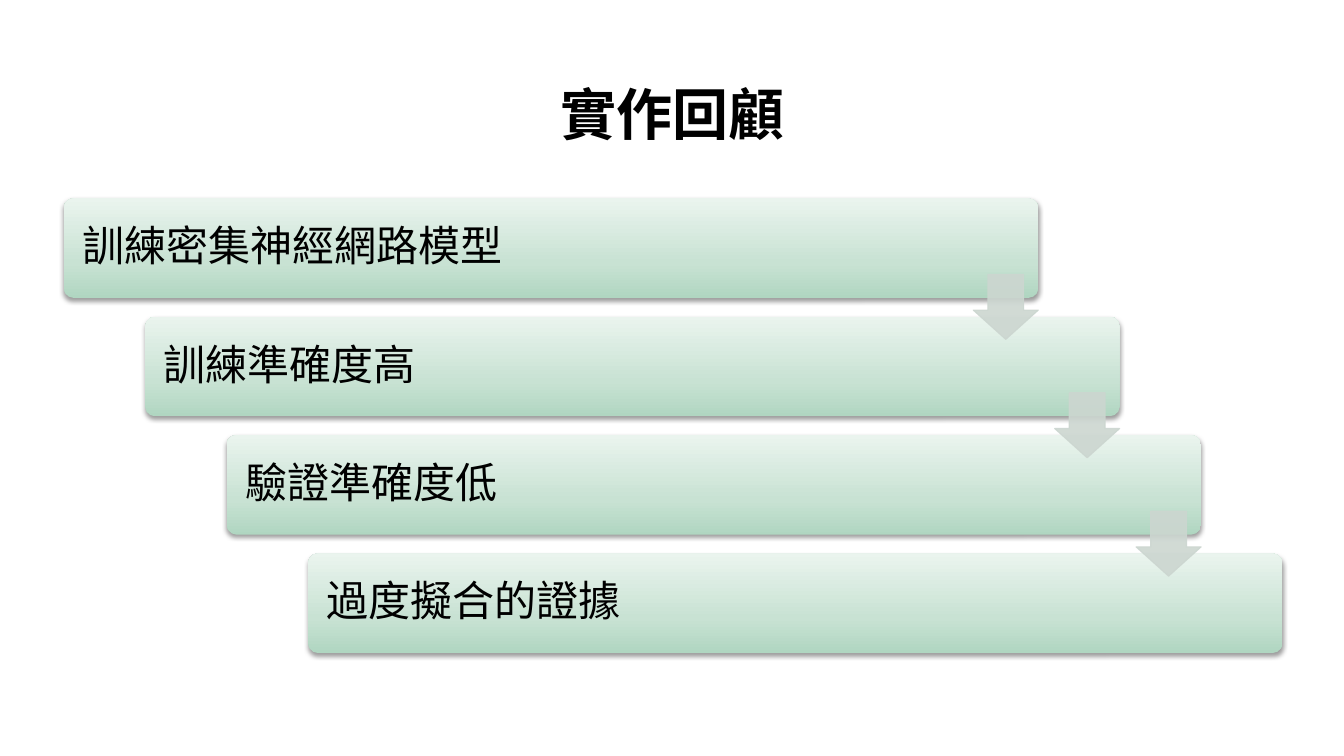
from lxml import etree
from pptx import Presentation
from pptx.dml.color import RGBColor
from pptx.enum.shapes import MSO_SHAPE
from pptx.enum.text import MSO_ANCHOR, PP_ALIGN
from pptx.oxml.ns import qn
from pptx.util import Inches, Pt

BAR, ARROW = MSO_SHAPE.ROUNDED_RECTANGLE, MSO_SHAPE.DOWN_ARROW
MIDDLE, BOTTOM = MSO_ANCHOR.MIDDLE, MSO_ANCHOR.BOTTOM
LEFT, CENTER = PP_ALIGN.LEFT, PP_ALIGN.CENTER

FONT = "Cabin"
COLORS = {
    "text": "000000",
    "shadow": "000000",
    "bar_dark": "B0D6C1",
    "bar_mid": "C8E2D3",
    "bar_light": "EAF4EE",
    "arrow": "CCD6D0",
}
BAR_STOPS = [(0, "bar_dark"), (35, "bar_mid"), (100, "bar_light")]
STEPS = ["訓練密集神經網路模型", "訓練準確度高", "驗證準確度低", "過度擬合的證據"]

FIRST_LEFT, FIRST_TOP = 0.57, 1.77
STEP_RIGHT, STEP_DOWN = 0.727, 1.057
BAR_WIDTH, BAR_HEIGHT = 8.7, 0.89
ARROW_SIZE = 0.58


def add_color(parent, color, alpha=None):
    node = etree.SubElement(parent, qn("a:srgbClr"), val=COLORS[color])
    if alpha is not None:
        etree.SubElement(node, qn("a:alpha"), val=str(alpha * 1000))


def set_text(shape, text, size, align, anchor, bold=False):
    frame = shape.text_frame
    frame.word_wrap = True
    frame.vertical_anchor = anchor
    frame.text = text
    paragraph = frame.paragraphs[0]
    paragraph.alignment = align
    paragraph.line_spacing = 0.9
    font = paragraph.font
    font.name, font.size, font.bold = FONT, Pt(size), bold
    font.color.rgb = RGBColor.from_string(COLORS["text"])


def fill_gradient(shape, stops):
    """Fill from bottom to top with (percent, colour) stops."""
    shape.fill.gradient()
    shape.fill.gradient_angle = 90
    stop_list = shape._element.spPr.find(".//" + qn("a:gsLst"))
    for stop in list(stop_list):
        stop_list.remove(stop)
    for percent, color in stops:
        stop = etree.SubElement(stop_list, qn("a:gs"), pos=str(percent * 1000))
        add_color(stop, color)


def add_drop_shadow(shape):
    shape.shadow.inherit = False
    effects = shape._element.spPr.find(qn("a:effectLst"))
    shadow = etree.SubElement(
        effects, qn("a:outerShdw"), blurRad=str(Pt(3.1)), dist=str(Pt(1.6)),
        dir="5400000", rotWithShape="0")
    add_color(shadow, "shadow", 38)


def add_step_bar(slide, left, top, text):
    bar = slide.shapes.add_shape(
        BAR, Inches(left), Inches(top), Inches(BAR_WIDTH), Inches(BAR_HEIGHT))
    bar.adjustments[0] = 0.1
    fill_gradient(bar, BAR_STOPS)
    bar.line.fill.background()
    add_drop_shadow(bar)
    set_text(bar, text, 27, LEFT, MIDDLE)
    bar.text_frame.margin_left = Inches(0.14)


def add_step_arrow(slide, left, top):
    arrow = slide.shapes.add_shape(
        ARROW, Inches(left), Inches(top), Inches(ARROW_SIZE), Inches(ARROW_SIZE))
    arrow.adjustments[0], arrow.adjustments[1] = 0.45, 0.55
    arrow.adjustments[0], arrow.adjustments[1] = 0.55, 0.45
    arrow.shadow.inherit = False
    arrow.line.width = Pt(0.75)
    for fill in (arrow.fill, arrow.line.fill):
        fill.solid()
        fill.fore_color.rgb = RGBColor.from_string(COLORS["arrow"])
    for color in arrow._element.spPr.iter(qn("a:srgbClr")):
        etree.SubElement(color, qn("a:alpha"), val="90000")


def add_title(slide, text):
    title = slide.shapes.title
    title.left, title.top = Inches(0.55), Inches(0.72)
    title.width, title.height = Inches(10.91), Inches(0.65)
    set_text(title, text, 36, CENTER, BOTTOM, bold=True)


def main():
    prs = Presentation()
    prs.slide_width, prs.slide_height = Inches(12), Inches(6.75)
    slide = prs.slides.add_slide(prs.slide_layouts[5])
    add_title(slide, "實作回顧")

    corners = [(FIRST_LEFT + i * STEP_RIGHT, FIRST_TOP + i * STEP_DOWN)
               for i in range(len(STEPS))]
    for (left, top), text in zip(corners, STEPS):
        add_step_bar(slide, left, top, text)
    for left, top in corners[:-1]:
        add_step_arrow(slide, left + BAR_WIDTH - ARROW_SIZE, top + 0.68)
    prs.save("out.pptx")


if __name__ == "__main__":
    main()
